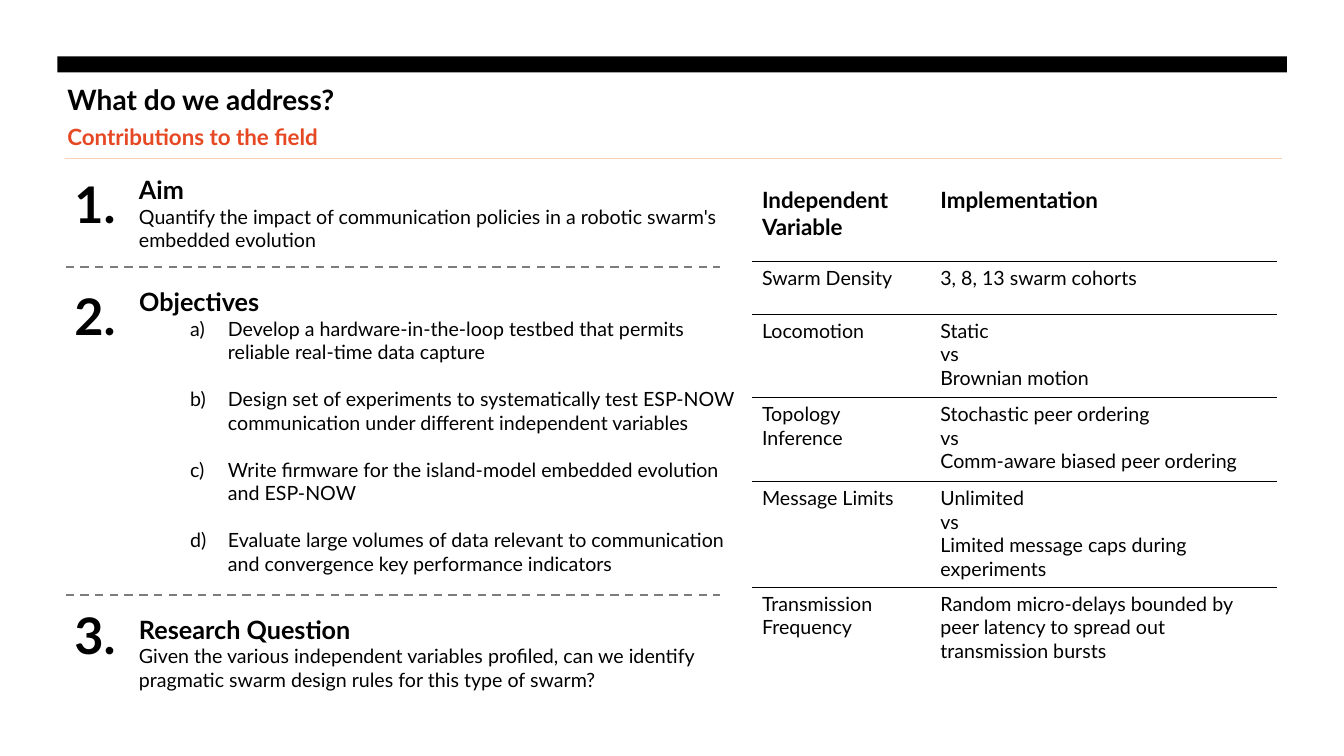
from dataclasses import dataclass

import lxml.etree
import pptx
import pptx.dml.color
import pptx.enum.dml
import pptx.enum.shapes
import pptx.enum.text
import pptx.oxml.ns
import pptx.util

Pt = pptx.util.Pt
RGBColor = pptx.dml.color.RGBColor
qn = pptx.oxml.ns.qn
Anchor = pptx.enum.text.MSO_ANCHOR

BLACK = RGBColor(0x00, 0x00, 0x00)
ACCENT = RGBColor(0xE6, 0x48, 0x23)
ORANGE = RGBColor(0xED, 0x7D, 0x31)
GRAY = RGBColor(0x7C, 0x7C, 0x7C)
FONT = "Lato"
TEXT_LEFT, TEXT_WIDTH = 92.2, 444.2
NUMBER_LEFT, NUMBER_WIDTH, NUMBER_HEIGHT = 46.1, 46.1, 54.7
COLUMN_WIDTHS = (127.4, 247.7)
SEPARATOR_TOPS = (190.8, 424.8)


@dataclass
class Section:
    heading: str
    body: str
    top: float
    number_top: float


@dataclass
class Row:
    variable: str
    implementation: str
    height: float


SECTIONS = [
    Section("Aim", "Quantify the impact of communication policies in a robotic swarm's "
            "embedded evolution", 121, 121),
    Section("Objectives", "Develop a hardware-in-the-loop testbed that permits reliable "
            "real-time data capture\n"
            "Design set of experiments to systematically test ESP-NOW communication "
            "under different independent variables\n"
            "Write firmware for the island-model embedded evolution and ESP-NOW\n"
            "Evaluate large volumes of data relevant to communication and convergence "
            "key performance indicators", 200.9, 200.9),
    Section("Research Question", "Given the various independent variables profiled, can we "
            "identify pragmatic swarm design rules for this type of swarm?", 434.9, 428.4),
]

ROWS = [
    Row("Independent Variable", "Implementation", 57),
    Row("Swarm Density", "3, 8, 13 swarm cohorts", 37.6),
    Row("Locomotion", "Static\nvs\nBrownian motion", 59.8),
    Row("Topology Inference", "Stochastic peer ordering\nvs\n"
        "Comm-aware biased peer ordering", 59.8),
    Row("Message Limits", "Unlimited\nvs\nLimited message caps during experiments", 75.6),
    Row("Transmission Frequency", "Random micro-delays bounded by peer latency to spread "
        "out transmission bursts", 72),
]


def place(box, left: float, top: float, width: float, height: float) -> None:
    box.left, box.top, box.width, box.height = Pt(left), Pt(top), Pt(width), Pt(height)


def style(para, size: float, bold: bool = False, color: RGBColor = BLACK) -> None:
    para.alignment = pptx.enum.text.PP_ALIGN.LEFT
    para.space_before = Pt(0)
    for span in para.runs:
        span.font.name = FONT
        span.font.size = Pt(size)
        span.font.bold = bold
        span.font.color.rgb = color


def set_frame(frame, anchor) -> None:
    frame.word_wrap = True
    frame.auto_size = pptx.enum.text.MSO_AUTO_SIZE.NONE
    frame.vertical_anchor = anchor


def add_label(page, text: str, bounds: tuple, size: float, color: RGBColor = BLACK) -> None:
    frame = page.shapes.add_textbox(*map(Pt, bounds)).text_frame
    set_frame(frame, Anchor.MIDDLE)
    frame.text = text
    frame.paragraphs[0].line_spacing = 0.9
    style(frame.paragraphs[0], size, True, color)


def add_bar(page, bounds: tuple, color: RGBColor) -> None:
    bar = page.shapes.add_shape(pptx.enum.shapes.MSO_SHAPE.RECTANGLE, *map(Pt, bounds))
    bar.shadow.inherit = False
    bar.fill.solid()
    bar.fill.fore_color.rgb = color
    bar.line.fill.background()


def add_separator(page, top: float) -> None:
    line = page.shapes.add_connector(pptx.enum.shapes.MSO_CONNECTOR.STRAIGHT,
                                     Pt(46.8), Pt(top), Pt(514.1), Pt(top))
    line.line.color.rgb = GRAY
    line.line.width = Pt(1.5)
    line.line.dash_style = pptx.enum.dml.MSO_LINE.DASH
    lxml.etree.SubElement(line._element.spPr, qn("a:effectLst"))


def set_bullet(para, tag: str, left: float = 0, indent: float = 0, **options: str) -> None:
    properties = para._p.get_or_add_pPr()
    properties.set("marL", str(Pt(left)))
    properties.set("indent", str(Pt(indent)))
    lxml.etree.SubElement(properties, qn(tag), **options)


def fill_section(frame, section: Section) -> None:
    set_frame(frame, Anchor.TOP)
    frame.text = f"{section.heading}\n{section.body}"
    heading, *body = frame.paragraphs
    style(heading, 18, True)
    for para in body:
        style(para, 14)


def fill_objectives(box, section: Section) -> None:
    place(box, TEXT_LEFT, section.top, TEXT_WIDTH, 216)
    fill_section(box.text_frame, section)
    heading, *objectives = box.text_frame.paragraphs
    set_bullet(heading, "a:buNone")
    for index, para in enumerate(objectives):
        para.level = 1
        para.space_before = Pt(16.8 if index else 0)
        set_bullet(para, "a:buAutoNum", 63.4, -27, type="alphaLcParenR")


def set_borders(cell, above: bool, below: bool) -> None:
    properties = cell._tc.get_or_add_tcPr()
    for side, shown in (("L", False), ("R", False), ("T", above), ("B", below)):
        border = lxml.etree.SubElement(properties, qn(f"a:ln{side}"), w=str(Pt(0.25)))
        if shown:
            fill = lxml.etree.SubElement(border, qn("a:solidFill"))
            lxml.etree.SubElement(fill, qn("a:srgbClr"), val=str(BLACK))
        else:
            lxml.etree.SubElement(border, qn("a:noFill"))


def add_variables_table(page) -> None:
    height = sum(row.height for row in ROWS)
    table = page.shapes.add_table(len(ROWS), len(COLUMN_WIDTHS), Pt(537.1), Pt(129.6),
                                  Pt(sum(COLUMN_WIDTHS)), Pt(height)).table
    table.first_row = table.horz_banding = False
    for column, width in zip(table.columns, COLUMN_WIDTHS):
        column.width = Pt(width)
    for index, row in enumerate(ROWS):
        header = index == 0
        table.rows[index].height = Pt(row.height)
        for cell, text in zip(table.rows[index].cells, (row.variable, row.implementation)):
            set_borders(cell, not header, index < len(ROWS) - 1)
            cell.fill.background()
            cell.text_frame.text = text
            for para in cell.text_frame.paragraphs:
                style(para, 16 if header else 14, header)


def main() -> None:
    deck = pptx.Presentation()
    deck.slide_width, deck.slide_height = Pt(960), Pt(540)
    page = deck.slides.add_slide(deck.slide_layouts[1])
    add_bar(page, (41, 40.3, 878.2, 11.5), BLACK)

    title = page.shapes.title
    place(title, 41, 55.4, 878.2, 23)
    set_frame(title.text_frame, Anchor.TOP)
    title.text_frame.text = "What do we address?"
    style(title.text_frame.paragraphs[0], 20, True)

    add_label(page, "Contributions to the field", (41, 84.2, 827.3, 28.8), 16, ACCENT)
    add_bar(page, (46.1, 113.4, 869.8, 0), ORANGE)

    for number, section in enumerate(SECTIONS, 1):
        add_label(page, f"{number}.",
                  (NUMBER_LEFT, section.number_top, NUMBER_WIDTH, NUMBER_HEIGHT), 36)
        if "\n" in section.body:
            fill_objectives(page.placeholders[1], section)
        else:
            box = page.shapes.add_textbox(Pt(TEXT_LEFT), Pt(section.top),
                                          Pt(TEXT_WIDTH), Pt(63.4))
            fill_section(box.text_frame, section)

    for top in SEPARATOR_TOPS:
        add_separator(page, top)
    add_variables_table(page)
    deck.save("out.pptx")


if __name__ == "__main__":
    main()
